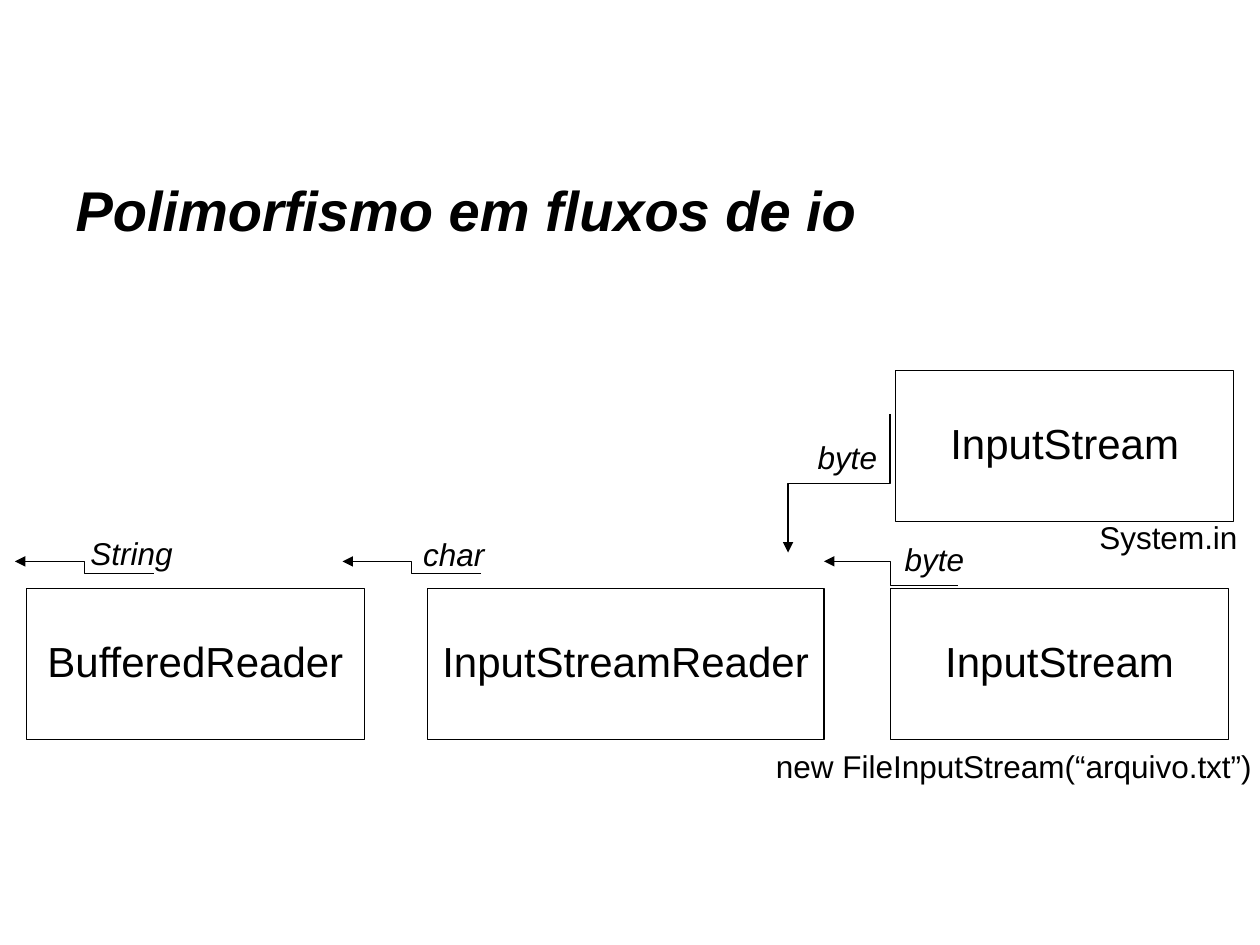
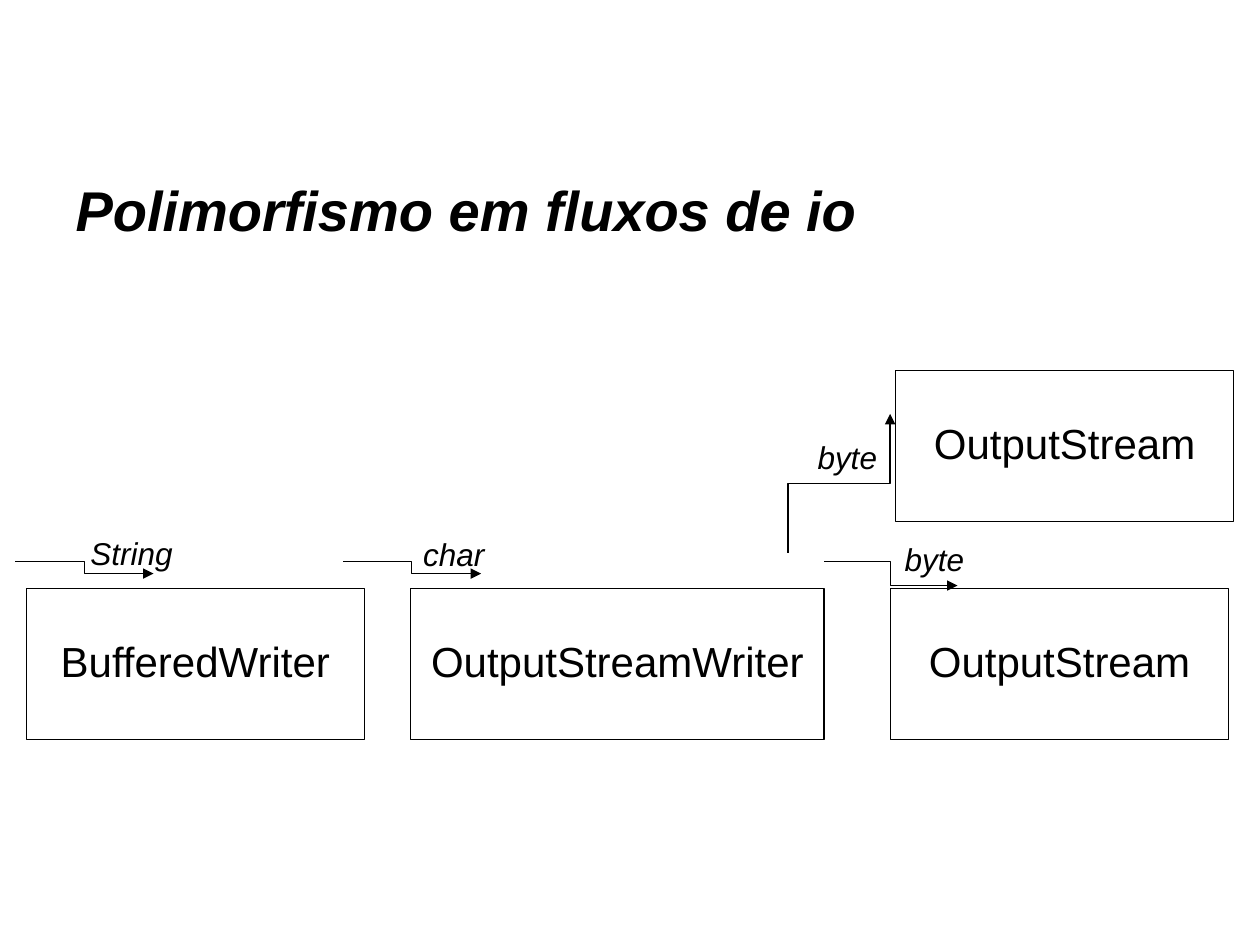
from typing import NamedTuple

from lxml import etree
from pptx import Presentation
from pptx.dml.color import RGBColor
from pptx.enum.shapes import MSO_CONNECTOR, MSO_SHAPE
from pptx.enum.text import MSO_ANCHOR, PP_ALIGN
from pptx.oxml.ns import qn
from pptx.util import Pt

RECT = MSO_SHAPE.RECTANGLE
ELBOW = MSO_CONNECTOR.ELBOW
LEFT, CENTER, RIGHT = PP_ALIGN.LEFT, PP_ALIGN.CENTER, PP_ALIGN.RIGHT
TOP, MIDDLE = MSO_ANCHOR.TOP, MSO_ANCHOR.MIDDLE

COLORS = {"ink": "000000"}
FONT = "Arial"
LINE_WIDTH = 0.75
TITLE = "Polimorfismo em fluxos de io"

FORMATS = {
    "title": {"size": Pt(32), "bold": True, "italic": True},
    "class": {"size": Pt(24)},
    "flow": {"size": Pt(18), "italic": True},
    "caption": {"size": Pt(18)},
}
INSETS = {"margin_left": Pt(7.2), "margin_right": Pt(7.2),
          "margin_top": Pt(3.6), "margin_bottom": Pt(3.6)}
TITLE_INSETS = INSETS | {"margin_left": Pt(43.2), "margin_top": Pt(45.4)}
CLASS_INSETS = INSETS | {"margin_bottom": Pt(7.2)}

ROW_TOP, UPPER_TOP = 336.2, 211.7
BOX_W, BOX_H = 193, 86.4
READER_LEFT, READER_RIGHT = 15.1, 470.9
LABEL_H = 28.8


class Label(NamedTuple):
    text: str
    left: float
    top: float
    width: float
    kind: str = "flow"
    align: PP_ALIGN = LEFT


class Elbow(NamedTuple):
    x1: float
    y1: float
    x2: float
    y2: float
    rotation: int = 0


class Diagram(NamedTuple):
    buffered: str
    converter: str
    converter_left: float
    stream: str
    arrow_end: str
    captions: tuple[Label, ...] = ()


FLOW_LABELS = (
    Label("byte", 460.1, 247, 79.2),
    Label("byte", 509.8, 305.3, 79.2),
    Label("char", 234.7, 302.4, 108),
    Label("String", 44.6, 301.7, 79.2),
)
ELBOWS = (
    Elbow(439.9, 247, 519.1, 305.3, rotation=90),
    Elbow(547.2, 334.6, READER_RIGHT, 320.8),
    Elbow(275, 327.8, 195.8, 320.8),
    Elbow(87.8, 327.8, 8.6, 320.8),
)
DIAGRAMS = (
    Diagram("BufferedReader", "InputStreamReader", 244.1, "InputStream", "a:tailEnd", (
        Label("new FileInputStream(“arquivo.txt”)", 436.3, 423.4, 290.2, "caption"),
        Label("System.in", 423.4, 292.3, 290.9, "caption", RIGHT),
    )),
    Diagram("BufferedWriter", "OutputStreamWriter", 234.7, "OutputStream", "a:headEnd"),
)


def ink() -> RGBColor:
    return RGBColor.from_string(COLORS["ink"])


def set_text(sp, text: str, kind: str, align=LEFT, anchor=TOP, insets=INSETS) -> None:
    tf = sp.text_frame
    for name, value in {"word_wrap": True, "vertical_anchor": anchor, **insets}.items():
        setattr(tf, name, value)
    p = tf.paragraphs[0]
    p.alignment = align
    r = p.add_run()
    r.text = text
    for name, value in {"name": FONT, **FORMATS[kind]}.items():
        setattr(r.font, name, value)
    r.font.color.rgb = ink()


def set_line(sp) -> None:
    sp.line.color.rgb = ink()
    sp.line.width = Pt(LINE_WIDTH)


def add_title(s) -> None:
    sp = s.shapes.add_textbox(Pt(0), Pt(54.7), Pt(720), Pt(474.5))
    set_text(sp, TITLE, "title", insets=TITLE_INSETS)


def add_class_box(s, text: str, left: float, top: float = ROW_TOP,
                  width: float = BOX_W) -> None:
    sp = s.shapes.add_shape(RECT, Pt(left), Pt(top), Pt(width), Pt(BOX_H))
    sp.shadow.inherit = False
    sp.fill.background()
    set_line(sp)
    set_text(sp, text, "class", CENTER, MIDDLE, CLASS_INSETS)


def add_elbow(s, elbow: Elbow, arrow_end: str) -> None:
    """Draw a bent connector with its arrowhead at the given end."""
    points = (Pt(v) for v in elbow[:4])
    sp = s.shapes.add_connector(ELBOW, *points)
    set_line(sp)
    spPr = sp._element.spPr
    if elbow.rotation:
        spPr.xfrm.set("rot", str(elbow.rotation * 60000))
    etree.SubElement(sp.line._get_or_add_ln(), qn(arrow_end), type="triangle")
    etree.SubElement(spPr, qn("a:effectLst"))


def add_label(s, label: Label) -> None:
    sp = s.shapes.add_textbox(Pt(label.left), Pt(label.top), Pt(label.width), Pt(LABEL_H))
    set_text(sp, label.text, label.kind, label.align)


def add_diagram(s, d: Diagram) -> None:
    add_title(s)
    add_class_box(s, d.stream, 509)
    add_class_box(s, d.stream, 511.9, UPPER_TOP)
    add_class_box(s, d.converter, d.converter_left, width=READER_RIGHT - d.converter_left)
    add_class_box(s, d.buffered, READER_LEFT)
    for elbow in ELBOWS:
        add_elbow(s, elbow, d.arrow_end)
    for label in FLOW_LABELS + d.captions:
        add_label(s, label)


def main() -> None:
    prs = Presentation()
    prs.slide_width, prs.slide_height = Pt(720), Pt(540)
    blank = prs.slide_layouts[6]
    for diagram in DIAGRAMS:
        add_diagram(prs.slides.add_slide(blank), diagram)
    prs.save("out.pptx")


if __name__ == "__main__":
    main()
